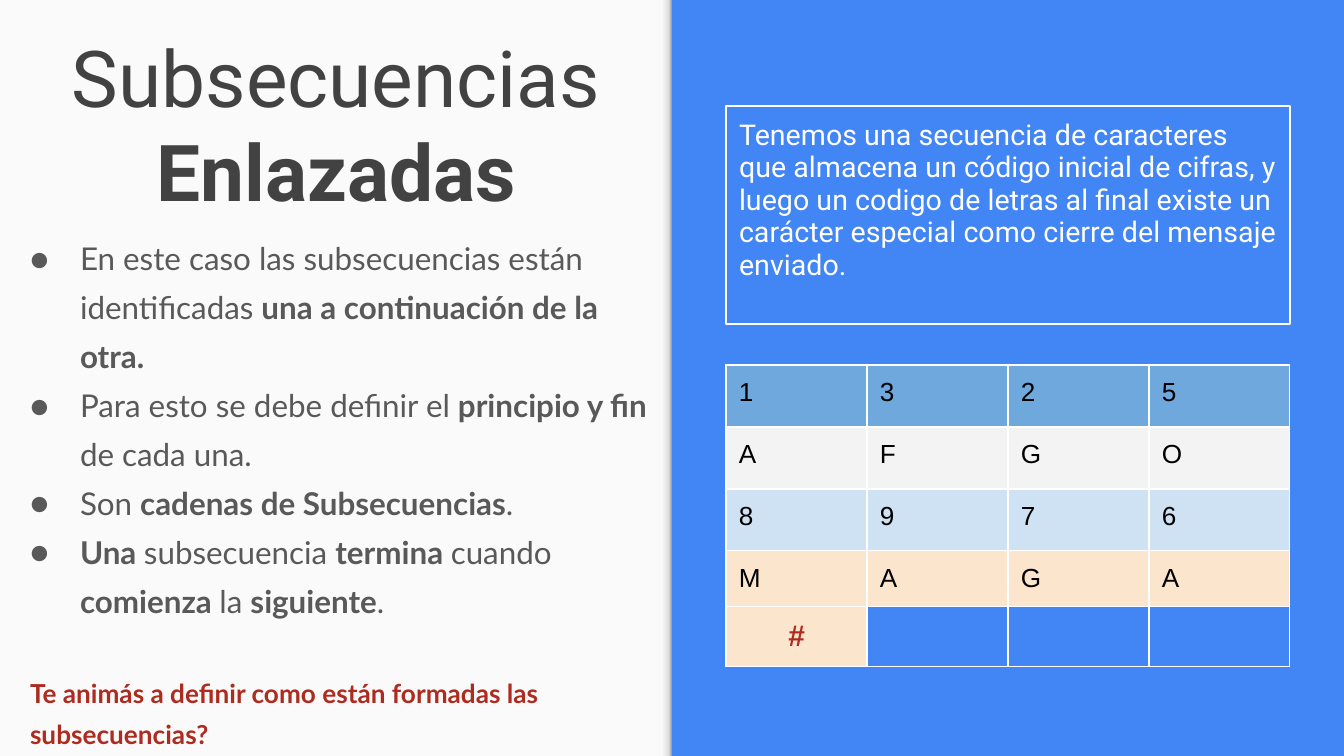
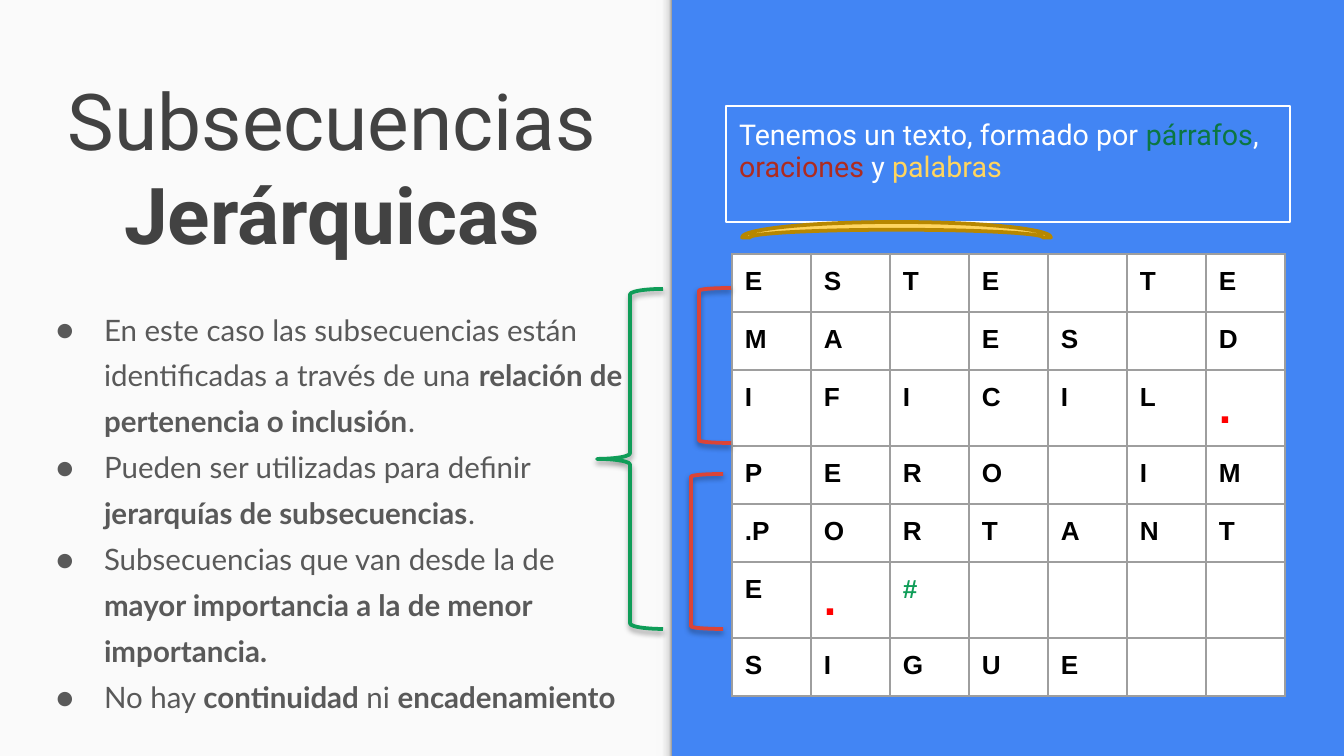
from lxml import etree
from pptx import Presentation
from pptx.dml.color import RGBColor
from pptx.enum.shapes import MSO_SHAPE
from pptx.enum.text import MSO_ANCHOR, MSO_AUTO_SIZE, PP_ALIGN
from pptx.oxml import parse_xml
from pptx.oxml.ns import qn
from pptx.util import Emu, Pt

RECT, ARC = MSO_SHAPE.RECTANGLE, MSO_SHAPE.BLOCK_ARC
BRACE, BRACKET = MSO_SHAPE.LEFT_BRACE, MSO_SHAPE.LEFT_BRACKET
TOP, BOTTOM = MSO_ANCHOR.TOP, MSO_ANCHOR.BOTTOM
LEFT, CENTER = PP_ALIGN.LEFT, PP_ALIGN.CENTER
FIXED = MSO_AUTO_SIZE.NONE

WIDE, HIGH, INSET = 1344, 756, 13
HALF = WIDE // 2
BLUE, PAPER, WHITE, BLACK = "4285F4", "FAFAFA", "FFFFFF", "000000"
INK, GREY, BRICK = "424242", "595959", "AE2B1F"
GREEN, RED, YELLOW, GOLD = "0F9D58", "DB4437", "FFD55F", "B78700"
NS = 'xmlns:a="http://schemas.openxmlformats.org/drawingml/2006/main"'


def px(num):
    return Emu(round(num * 914400 / 134.4))


def rgb(code):
    return RGBColor.from_string(code)


def line_xml(tag, code, width):
    return parse_xml(
        f'<a:{tag} {NS} w="{Pt(width)}"><a:solidFill><a:srgbClr val="{code}"/>'
        f'</a:solidFill></a:{tag}>')


def style(font, name, size, code, bold=None):
    font.name, font.size, font.bold = name, Pt(size), bold
    font.color.rgb = rgb(code)


def add_form(slide, kind, box, fill=None, line=None):
    """Add a preset shape without shadow; fill and line are optional."""
    form = slide.shapes.add_shape(kind, *map(px, box))
    form.shadow.inherit = False
    if fill:
        form.fill.solid()
        form.fill.fore_color.rgb = rgb(fill)
    else:
        form.fill.background()
    if line:
        form.line.color.rgb = rgb(line)
        form.line.width = Pt(2)
    else:
        form.line.fill.background()
    return form


def add_shade(form):
    """Give a shape a soft shadow below it."""
    form.element.spPr.find(qn("a:effectLst")).append(parse_xml(
        f'<a:outerShdw {NS} blurRad="{Pt(3.1)}" dist="{Pt(1.6)}" dir="5400000">'
        f'<a:srgbClr val="{BLACK}"><a:alpha val="38000"/></a:srgbClr>'
        '</a:outerShdw>'))


def set_layout(layout, slide):
    """Put the blue ground, pale half and fold on the layout."""
    layout.background.fill.solid()
    layout.background.fill.fore_color.rgb = rgb(BLUE)
    panel = add_form(slide, RECT, (0, 0, HALF, HIGH), PAPER)
    thick = 16
    fold = add_form(slide, RECT, (HALF - (HIGH + thick) // 2,
                                  (HIGH - thick) // 2, HIGH, thick), PAPER)
    fold.rotation = 90
    stops = [(0, "F9F9F9"), (36, "F9F9F9"), (80, "DEDEDE"), (100, "999999")]
    marks = "".join(f'<a:gs pos="{pos * 1000}"><a:srgbClr val="{code}"/></a:gs>'
                    for pos, code in stops)
    solid = fold.element.spPr.find(qn("a:solidFill"))
    solid.getparent().replace(solid, parse_xml(
        f'<a:gradFill {NS} rotWithShape="1"><a:gsLst>{marks}</a:gsLst>'
        '<a:lin ang="16200000" scaled="0"/></a:gradFill>'))
    for num, form in enumerate((panel, fold)):
        form.element.nvSpPr.cNvPr.set("id", str(100 + num))
        layout.shapes.element.insert(2 + num, form.element)


def set_frame(holder, box, anchor):
    """Place a placeholder and return its text frame."""
    holder.left, holder.top, holder.width, holder.height = map(px, box)
    frame = holder.text_frame
    frame.word_wrap, frame.auto_size = True, FIXED
    frame.vertical_anchor = anchor
    frame.margin_left = frame.margin_right = px(INSET)
    frame.margin_top = frame.margin_bottom = px(INSET)
    return frame


def set_para(para, align, space, after=0, before=0, left=0, hang=0, dot=False):
    para.alignment, para.line_spacing = align, space
    para.space_before, para.space_after = Pt(before), Pt(after)
    props = para._p.get_or_add_pPr()
    props.set("marL", str(px(left)))
    props.set("indent", str(px(-hang)))
    if dot:
        props.append(parse_xml(
            f'<a:buClr {NS}><a:srgbClr val="{GREY}"/></a:buClr>'))
        props.append(parse_xml(f'<a:buFont {NS} typeface="Lato"/>'))
        props.append(parse_xml(f'<a:buChar {NS} char="●"/>'))
    else:
        etree.SubElement(props, qn("a:buNone"))


def add_runs(para, text):
    """Add runs, bold between asterisks."""
    for num, part in enumerate(text.split("*")):
        if part:
            run = para.add_run()
            run.text = part
            if num % 2:
                run.font.bold = True


def set_title(slide, box, text):
    para = set_frame(slide.shapes.title, box, BOTTOM).paragraphs[0]
    set_para(para, CENTER, 1.0)
    style(para.font, "Roboto", 42, INK)
    add_runs(para, text)


def set_list(slide, box, items, size, hang, note=None):
    """Fill the bullet list, with an optional closing note."""
    frame = set_frame(slide.placeholders[1], box, TOP)
    for num, item in enumerate(items):
        para = frame.add_paragraph() if num else frame.paragraphs[0]
        set_para(para, LEFT, 1.3, left=67, hang=hang, dot=True)
        style(para.font, "Lato", size, GREY)
        add_runs(para, item)
    if note:
        para = frame.add_paragraph()
        set_para(para, LEFT, 1.3, before=26, left=17)
        style(para.font, "Lato", 14, BRICK, True)
        para.add_run().text = note


def set_brief(slide, box, parts):
    """Fill the outlined box; a part is text, colour, edge colour, edge width."""
    holder = slide.placeholders[2]
    holder.line.color.rgb = rgb(WHITE)
    holder.line.width = Pt(0.75)
    para = set_frame(holder, box, TOP).paragraphs[0]
    set_para(para, LEFT, 0.95, after=12)
    style(para.font, "Roboto", 15.3, WHITE)
    for text, *look in parts:
        run = para.add_run()
        run.text = text
        if look:
            code, edge, width = look
            run.font.color.rgb = rgb(code)
            run._r.get_or_add_rPr().insert(0, line_xml("ln", edge, width))


def set_cell(cell, text, fill, edge, size, code, bold):
    cell.margin_left = cell.margin_right = px(INSET)
    cell.margin_top = cell.margin_bottom = px(INSET)
    cell.fill.solid()
    cell.fill.fore_color.rgb = rgb(fill)
    props = cell._tc.get_or_add_tcPr()
    for num, tag in enumerate(("lnL", "lnR", "lnT", "lnB")):
        props.insert(num, line_xml(tag, edge, 0.75))
    para = cell.text_frame.paragraphs[0]
    style(para.font, "Arial", size, code, bold)
    if text:
        para.add_run().text = text
    else:
        para._p.get_or_add_endParaRPr().set("sz", str(size * 100))


def add_grid(slide, box, rows, highs, fills, edge, marks, bold):
    """Add a table; marks maps a cell text to its size and colour."""
    cells = [row.split("|") for row in rows]
    count = len(cells[0])
    table = slide.shapes.add_table(len(rows), count, *map(px, box)).table
    table.first_row = table.horz_banding = False
    for col in table.columns:
        col.width = px(box[2] // count)
    for num, (row, high, fill) in enumerate(zip(cells, highs, fills)):
        table.rows[num].height = px(high)
        for col, text in enumerate(row):
            size, code = marks.get(text, (14, BLACK))
            set_cell(table.cell(num, col), text, fill, edge, size, code,
                     bold or text in marks)
    return table


def build_chain(slide):
    set_title(slide, (39, 12, 594, 218), "Subsecuencias *Enlazadas*")
    set_list(slide, (0, 215, HALF, 528), [
        "En este caso las subsecuencias están identificadas "
        "*una a continuación de la otra.*",
        "Para esto se debe definir el *principio y fin* de cada una.",
        "Son *cadenas de Subsecuencias*.",
        "*Una *subsecuencia *termina *cuando *comienza *la *siguiente*.",
    ], 16.8, 50, "Te animás a definir como están formadas las subsecuencias?")
    set_brief(slide, (726, 106, 564, 218), [(
        "Tenemos una secuencia de caracteres que almacena un código inicial "
        "de cifras, y luego un codigo de letras al final existe un carácter "
        "especial como cierre del mensaje enviado.",)])
    table = add_grid(
        slide, (726, 365, 564, 302),
        ["1|3|2|5", "A|F|G|O", "8|9|7|6", "M|A|G|A", "#|||"],
        [62, 62, 62, 56, 60],
        ["6FA8DC", "F3F3F3", "CFE2F3", "FCE5CD", "FCE5CD"],
        WHITE, {"#": (16, BRICK)}, False)
    table.cell(4, 0).text_frame.paragraphs[0].alignment = CENTER
    for col in range(1, 4):
        table.cell(4, col).fill.background()


def build_tree(slide):
    set_title(slide, (35, 55, 594, 218), "Subsecuencias *Jerárquicas*")
    set_list(slide, (24, 288, 616, 419), [
        "En este caso las subsecuencias están identificadas a través de una "
        "*relación de pertenencia o inclusión*.",
        "Pueden ser utilizadas para definir *jerarquías de subsecuencias*.",
        "Subsecuencias que van desde la de "
        "*mayor importancia a la de menor importancia.*",
        "No hay *continuidad *ni *encadenamiento*",
    ], 15.8, 48)
    set_brief(slide, (726, 106, 564, 116), [
        ("Tenemos un texto, formado por ",),
        ("párrafos", "0B7642", "084E2C", 1.75), (", ",),
        ("oraciones", BRICK, BRICK, 0.75), (" y ",),
        ("palabras", YELLOW, GOLD, 0.75)])
    rows = ["E|S|T|E||T|E", "M|A||E|S||D", "I|F|I|C|I|L|.", "P|E|R|O||I|M",
            ".P|O|R|T|A|N|T", "E|.|#||||", "S|I|G|U|E||"]
    highs = [76 if "." in row.split("|") else 58 for row in rows]
    add_grid(slide, (732, 254, 553, sum(highs)), rows, highs,
             [WHITE] * len(rows), "9E9E9E",
             {".": (24, "FF0000"), "#": (14, GREEN)}, True)
    for kind, box, code in [(BRACE, (597, 289, 66, 340), GREEN),
                            (BRACKET, (699, 288, 32, 155), RED),
                            (BRACKET, (691, 474, 32, 155), RED)]:
        add_shade(add_form(slide, kind, box, line=code))
    add_form(slide, ARC, (742, 222, 309, 31), YELLOW, GOLD)


def main():
    deck = Presentation()
    deck.slide_width, deck.slide_height = px(WIDE), px(HIGH)
    layout = deck.slide_layouts[3]
    first = deck.slides.add_slide(layout)
    set_layout(layout, first)
    build_chain(first)
    build_tree(deck.slides.add_slide(layout))
    deck.save("out.pptx")


if __name__ == "__main__":
    main()
